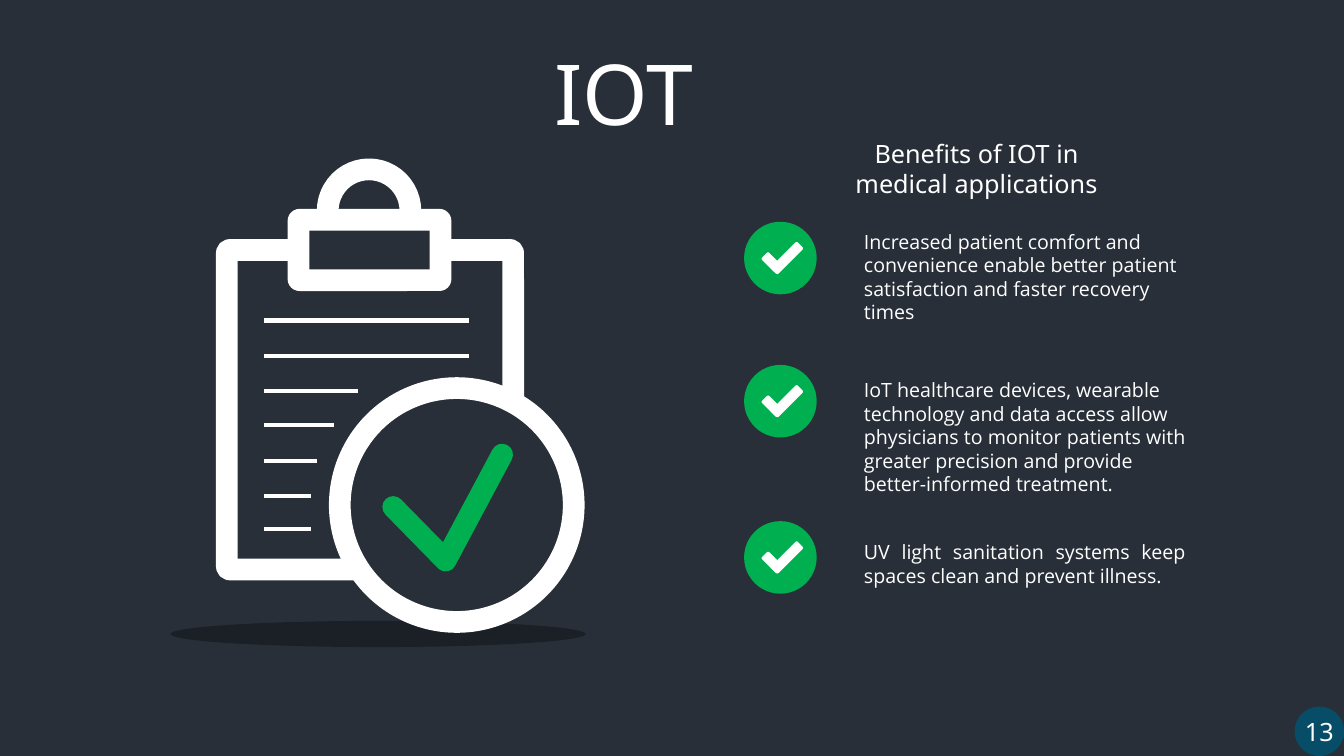
from lxml import etree
from pptx import Presentation
from pptx import util as u
from pptx.dml import color
from pptx.enum import shapes, text
from pptx.oxml import ns

PX = 9144
WHITE, GREEN, NIGHT, TEAL, BLACK = "FFFFFF", "00B050", "282F39", "074D67", "000000"
OVAL = shapes.MSO_SHAPE.OVAL
ROUNDED = shapes.MSO_SHAPE.ROUNDED_RECTANGLE
LEFT, CENTER, JUSTIFY = (text.PP_ALIGN.LEFT, text.PP_ALIGN.CENTER,
                         text.PP_ALIGN.JUSTIFY)


def rgb(value):
    return color.RGBColor.from_string(value)


class Page:
    """Draws styled elements on one slide, with lengths in px."""

    stroke = 15.5

    def __init__(self, deck):
        self.slide = deck.slides.add_slide(deck.slide_layouts[6])
        self.slide.background.fill.solid()
        self.slide.background.fill.fore_color.rgb = rgb(NIGHT)
        self.items = self.slide.shapes

    def shape(self, kind, frame, fill, alpha=100, turn=0, outline=None, corner=None):
        item = self.items.add_shape(kind, *(side * PX for side in frame))
        item.shadow.inherit = False
        item.rotation = turn
        item.fill.solid()
        item.fill.fore_color.rgb = rgb(fill)
        if alpha < 100:
            tone = item._element.spPr.find(".//" + ns.qn("a:srgbClr"))
            etree.SubElement(tone, ns.qn("a:alpha"), val=str(alpha * 1000))
        if corner is not None:
            item.adjustments[0] = corner
        if outline:
            item.line.color.rgb = rgb(outline)
            item.line.width = u.Pt(self.stroke)
        else:
            item.line.fill.background()
        return item

    def rule(self, left, right, y):
        line = self.items.add_connector(
            shapes.MSO_CONNECTOR.STRAIGHT, left * PX, y * PX, right * PX, y * PX)
        line.line.color.rgb = rgb(WHITE)
        line.line.width = u.Pt(3)
        etree.SubElement(line._element.spPr, ns.qn("a:effectLst"))

    def brush(self, points, tone):
        builder = self.items.build_freeform(*points[0], scale=PX)
        builder.add_line_segments(points[1:], close=False)
        item = builder.convert_to_shape()
        item.shadow.inherit = False
        item.fill.background()
        item.line.color.rgb = rgb(tone)
        item.line.width = u.Pt(self.stroke)
        outline = item._element.spPr.find(ns.qn("a:ln"))
        outline.set("cap", "rnd")
        etree.SubElement(outline, ns.qn("a:round"))

    def label(self, frame, words, size, font, align):
        box = self.items.add_textbox(*(side * PX for side in frame))
        box.text_frame.word_wrap = True
        self.fill_text(box, words, size, font, align)

    def fill_text(self, box, words, size, font, align):
        para = box.text_frame.paragraphs[0]
        para.text = words
        para.alignment = align
        para.font.size = u.Pt(size)
        para.font.name = font
        para.font.color.rgb = rgb(WHITE)

    def tick_badge(self, top):
        self.shape(OVAL, (738, top, 72, 72), GREEN)
        self.shape(ROUNDED, (755, top + 36, 22, 10), WHITE, turn=45)
        self.shape(ROUNDED, (762, top + 31, 37, 10), WHITE, turn=135)

    def clipboard(self):
        self.shape(OVAL, (169, 616, 412, 26), BLACK, alpha=30)
        self.shape(ROUNDED, (225, 248, 284, 317), NIGHT, outline=WHITE, corner=0.01)
        self.shape(OVAL, (325, 168, 82, 82), NIGHT, outline=WHITE)
        self.shape(ROUNDED, (296, 218, 141, 60), NIGHT, outline=WHITE, corner=0.02)
        ends = (465, 465, 355, 331, 314, 308, 308)
        heights = (318, 353, 388, 422, 457, 492, 525)
        for right, y in zip(ends, heights):
            self.rule(262, right, y)
        self.shape(OVAL, (337, 385, 232, 232), NIGHT, outline=WHITE)
        self.brush([(390, 503), (442, 556), (498, 451)], GREEN)

    def page_number(self, number):
        disc = self.shape(OVAL, (1284, 701, 49, 49), TEAL)
        frame = disc.text_frame
        frame.word_wrap = False
        frame.vertical_anchor = text.MSO_ANCHOR.MIDDLE
        self.fill_text(disc, number, 18, "Noto Sans", CENTER)


BENEFITS = [
    (220, 223, 104, LEFT, "Increased patient comfort and convenience enable better "
     "patient satisfaction and faster recovery times"),
    (362, 370, 128, LEFT, "IoT healthcare devices, wearable technology and data access "
     "allow physicians to monitor patients with greater precision and provide "
     "better-informed treatment."),
    (517, 531, 57, JUSTIFY, "UV light sanitation systems keep spaces clean and "
     "prevent illness."),
]


def main():
    deck = Presentation()
    deck.slide_width = u.Inches(13.33)
    deck.slide_height = u.Inches(7.5)
    page = Page(deck)
    page.clipboard()
    page.label((318, 36, 601, 111), "IOT", 60, "Noto Sans", CENTER)
    page.label((810, 132, 317, 71), "Benefits of IOT in medical applications",
               18, "Noto Sans", CENTER)
    for badge_top, text_top, height, align, words in BENEFITS:
        page.tick_badge(badge_top)
        page.label((847, text_top, 339, height), words, 14, "Open Sans", align)
    page.page_number("13")
    deck.save("out.pptx")


if __name__ == "__main__":
    main()
